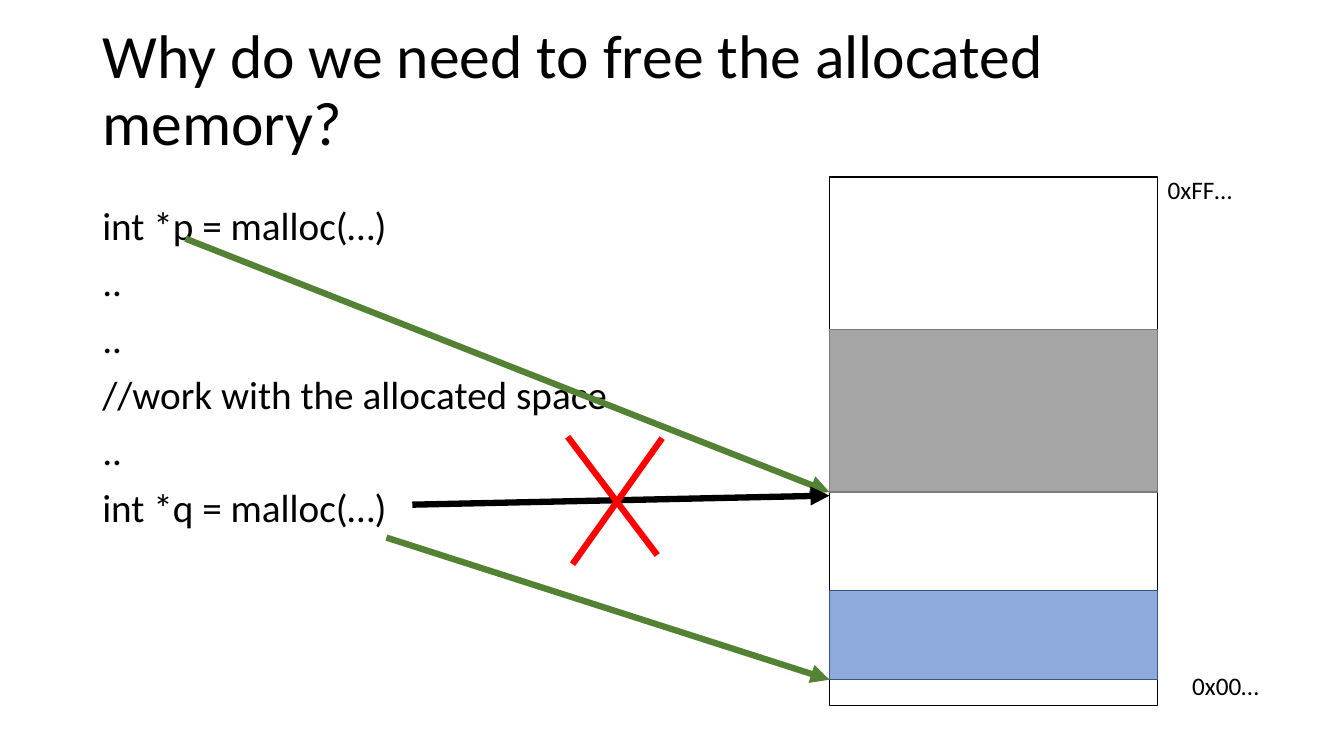
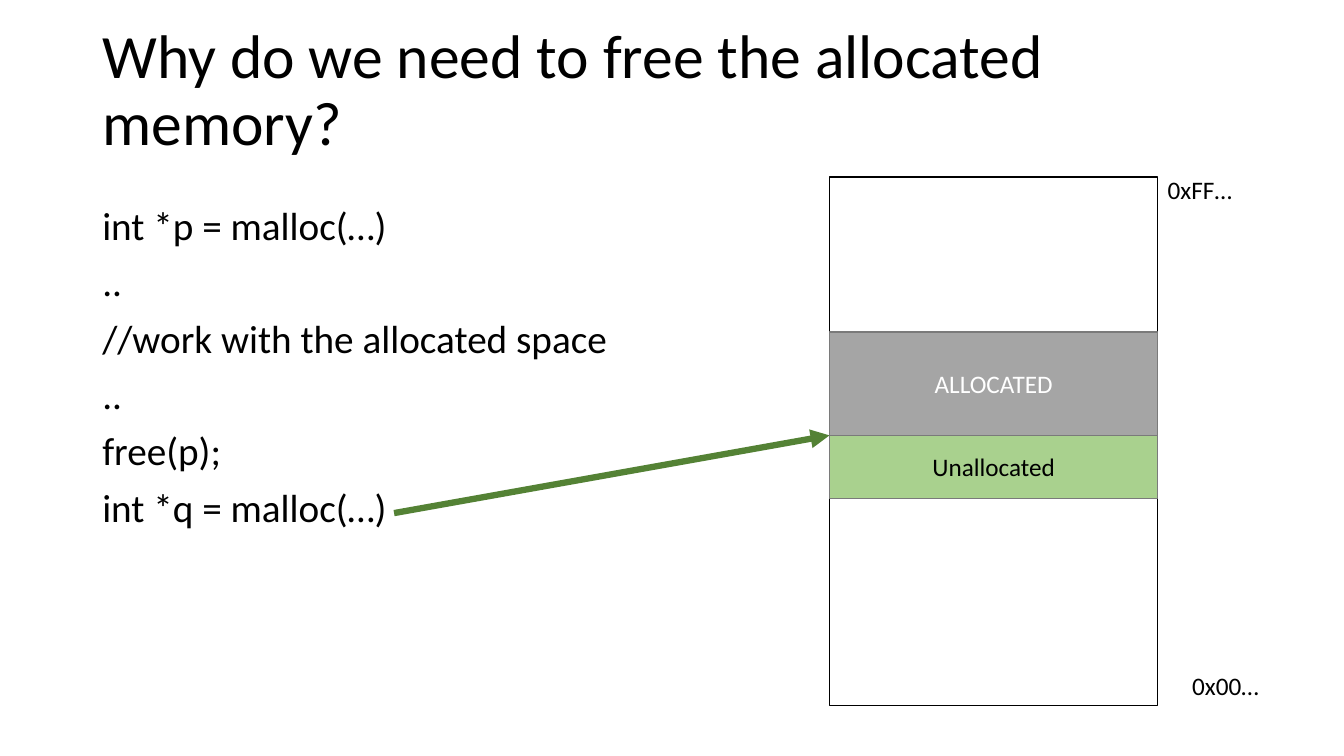
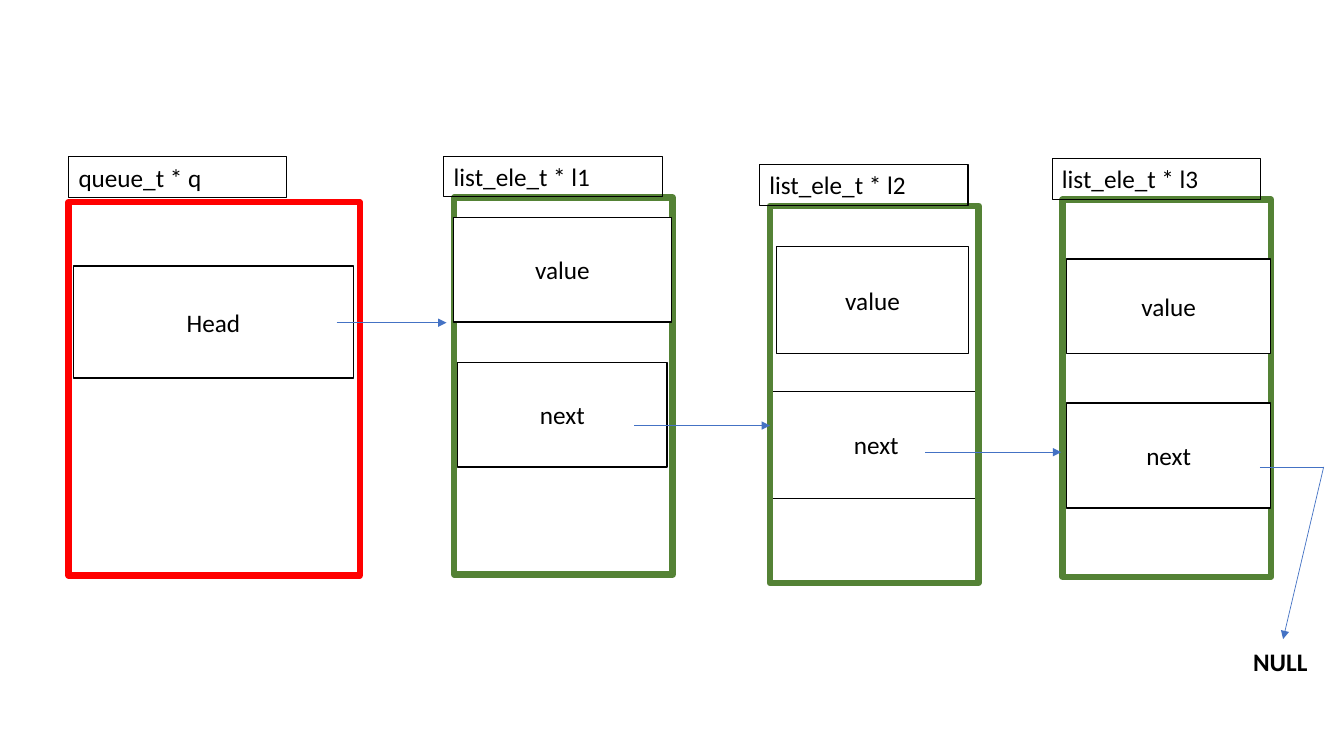
from dataclasses import dataclass
from typing import Optional

from lxml.etree import SubElement
from pptx import Presentation
from pptx.dml.color import RGBColor
from pptx.enum.shapes import MSO_CONNECTOR, MSO_SHAPE
from pptx.enum.text import MSO_ANCHOR, PP_ALIGN
from pptx.oxml.ns import qn
from pptx.slide import Slide
from pptx.text.text import TextFrame
from pptx.util import Pt

BLACK = RGBColor(0x00, 0x00, 0x00)
WHITE = RGBColor(0xFF, 0xFF, 0xFF)
RED = RGBColor(0xFF, 0x00, 0x00)
GREEN = RGBColor(0x54, 0x82, 0x35)
LIGHT_GREEN = RGBColor(0xA9, 0xD1, 0x8E)
GRAY = RGBColor(0xA5, 0xA5, 0xA5)
DARK_GRAY = RGBColor(0x7A, 0x7A, 0x7A)
LIGHT_BLUE = RGBColor(0x8F, 0xAA, 0xDC)
DARK_BLUE = RGBColor(0x32, 0x54, 0x91)
LINK_BLUE = RGBColor(0x44, 0x72, 0xC4)

TITLE = "Why do we need to free the allocated memory?"
TITLE_FONT = {"name": "Calibri", "size": Pt(44)}
CODE_FONT = {"name": "Calibri", "size": Pt(28)}
LABEL_FONT = {"name": "Calibri", "size": Pt(18)}
BOLD_FONT = {**LABEL_FONT, "bold": True}
TITLE_SPACING = {"line_spacing": 0.9}
CODE_SPACING = {"line_spacing": 0.9, "space_before": Pt(10)}
CENTERED = {"alignment": PP_ALIGN.CENTER}
LEFT_ALIGNED = {"alignment": PP_ALIGN.LEFT}

MEMORY_LEFT, MEMORY_WIDTH = 592.5, 234.5
LABEL_HEIGHT = 29
THICK, THIN = 4.5, 0.5


@dataclass(frozen=True)
class Area:
    left: float
    top: float
    width: float
    height: float

    def lengths(self) -> list[Pt]:
        return [Pt(n) for n in (self.left, self.top, self.width, self.height)]


@dataclass(frozen=True)
class Block:
    area: Area
    fill: Optional[RGBColor] = WHITE
    outline: RGBColor = BLACK
    weight: float = 1
    text: str = ""
    color: RGBColor = BLACK


@dataclass(frozen=True)
class Line:
    start: tuple[float, float]
    end: tuple[float, float]
    color: RGBColor = LINK_BLUE
    weight: float = THIN
    arrow: bool = True


@dataclass(frozen=True)
class Record:
    name: str
    frame: Area
    name_width: float
    name_shift: tuple[float, float] = (-7.5, -29.3)
    outline: RGBColor = GREEN


def memory_block(top: float, height: float, fill: RGBColor, outline: RGBColor,
                 text: str = "", color: RGBColor = BLACK) -> Block:
    area = Area(MEMORY_LEFT, top, MEMORY_WIDTH, height)
    return Block(area, fill, outline, 1, text, color)


def write(frame: TextFrame, lines: list[str], font: dict, layout: dict,
          color: RGBColor = BLACK, anchor: MSO_ANCHOR = MSO_ANCHOR.TOP) -> None:
    frame.word_wrap = True
    frame.vertical_anchor = anchor
    for index, text in enumerate(lines):
        para = frame.add_paragraph() if index else frame.paragraphs[0]
        for key, value in layout.items():
            setattr(para, key, value)
        span = para.add_run()
        span.text = text
        for key, value in font.items():
            setattr(span.font, key, value)
        span.font.color.rgb = color


def add_text(page: Slide, area: Area, lines: list[str], font: dict = LABEL_FONT,
             layout: dict = LEFT_ALIGNED, anchor: MSO_ANCHOR = MSO_ANCHOR.TOP) -> None:
    box = page.shapes.add_textbox(*area.lengths())
    write(box.text_frame, lines, font, layout, anchor=anchor)


def add_block(page: Slide, block: Block, layout: dict = CENTERED,
              anchor: MSO_ANCHOR = MSO_ANCHOR.MIDDLE) -> None:
    box = page.shapes.add_shape(MSO_SHAPE.RECTANGLE, *block.area.lengths())
    box.shadow.inherit = False
    if block.fill is None:
        box.fill.background()
    else:
        box.fill.solid()
        box.fill.fore_color.rgb = block.fill
    box.line.color.rgb = block.outline
    box.line.width = Pt(block.weight)
    if block.text:
        write(box.text_frame, [block.text], LABEL_FONT, layout, block.color, anchor)


def add_line(page: Slide, line: Line) -> None:
    ends = [Pt(n) for n in (*line.start, *line.end)]
    connector = page.shapes.add_connector(MSO_CONNECTOR.STRAIGHT, *ends)
    connector.line.color.rgb = line.color
    connector.line.width = Pt(line.weight)
    properties = connector.element.spPr
    if line.arrow:
        SubElement(properties.find(qn("a:ln")), qn("a:tailEnd"), type="triangle")
    SubElement(properties, qn("a:effectLst"))


def add_record(page: Slide, record: Record) -> None:
    frame = record.frame
    add_block(page, Block(frame, None, record.outline, THICK))
    shift_x, shift_y = record.name_shift
    name_area = Area(frame.left + shift_x, frame.top + shift_y,
                     record.name_width, LABEL_HEIGHT)
    add_block(page, Block(name_area, None, BLACK, 0.75, record.name),
              LEFT_ALIGNED, MSO_ANCHOR.TOP)


def add_memory_page(page: Slide, code: list[str], blocks: list[Block],
                    lines: list[Line]) -> None:
    add_text(page, Area(66, 13.5, 828, 104.5), [TITLE], TITLE_FONT,
             TITLE_SPACING, MSO_ANCHOR.MIDDLE)
    add_text(page, Area(66, 144, 456.5, 357), code, CODE_FONT, CODE_SPACING)
    add_block(page, memory_block(126.5, 377.5, WHITE, BLACK))
    add_text(page, Area(844.5, 475.5, 73.5, LABEL_HEIGHT), ["0x00…"])
    add_text(page, Area(827, 121, 73.5, LABEL_HEIGHT), ["0xFF…"])
    for block in blocks:
        add_block(page, block)
    for line in lines:
        add_line(page, line)


def add_list_page(page: Slide) -> None:
    add_block(page, Block(Area(551.5, 279.5, 149, 76.5), text="next"))
    records = [
        Record("queue_t * q", Area(49, 144.5, 208, 266.5), 156, (0, -32.4), RED),
        Record("list_ele_t * l1", Area(324.5, 141, 156, 269.5), 156),
        Record("list_ele_t * l2", Area(550, 147, 149, 269.5), 149),
        Record("list_ele_t * l3", Area(759, 142.5, 149, 269.5), 149),
    ]
    for record in records:
        add_record(page, record)
    fields = [
        ("Head", Area(52.5, 190, 200, 80)),
        ("value", Area(324, 155.5, 155.5, 74.5)),
        ("next", Area(327, 259, 149.5, 74.5)),
        ("value", Area(554.5, 176, 137.5, 76.5)),
        ("value", Area(762, 185, 145.5, 67.5)),
        ("next", Area(762, 288, 145.5, 75)),
    ]
    for text, area in fields:
        add_block(page, Block(area, text=text))
    links = [
        Line((240.5, 230.5), (319, 230.5)),
        Line((453, 304), (550, 304)),
        Line((661, 323), (758, 323)),
        Line((900, 333.5), (945.5, 333.5), arrow=False),
        Line((945.5, 333.5), (916.5, 456.5)),
    ]
    for link in links:
        add_line(page, link)
    add_text(page, Area(888, 458, 60.5, LABEL_HEIGHT), ["NULL"], BOLD_FONT)


def main() -> None:
    deck = Presentation()
    deck.slide_width, deck.slide_height = Pt(960), Pt(540)
    leak, release, linked_list = [
        deck.slides.add_slide(deck.slide_layouts[6]) for _ in range(3)
    ]
    work = "//work with the allocated space"
    first, second = "int *p = malloc(…)", "int *q = malloc(…)"
    add_memory_page(
        leak,
        [first, "..", "..", work, "..", second],
        [memory_block(235.5, 116, GRAY, DARK_GRAY),
         memory_block(422, 63.5, LIGHT_BLUE, DARK_BLUE)],
        [Line((132.5, 170.5), (MEMORY_LEFT, 351.5), GREEN, THICK),
         Line((294.5, 360.5), (MEMORY_LEFT, 354), BLACK, THICK),
         Line((473, 313), (409, 403), RED, THICK, False),
         Line((405.5, 312), (469.5, 396.5), RED, THICK, False),
         Line((276, 384), (MEMORY_LEFT, 485.5), GREEN, THICK)],
    )
    add_memory_page(
        release,
        [first, "..", work, "..", "free(p);", second],
        [memory_block(311, 45, LIGHT_GREEN, DARK_GRAY, "Unallocated"),
         memory_block(237, 74, GRAY, DARK_GRAY, "ALLOCATED", WHITE)],
        [Line((281.5, 366.5), (MEMORY_LEFT, 311), GREEN, THICK)],
    )
    add_list_page(linked_list)
    deck.save("out.pptx")


if __name__ == "__main__":
    main()
